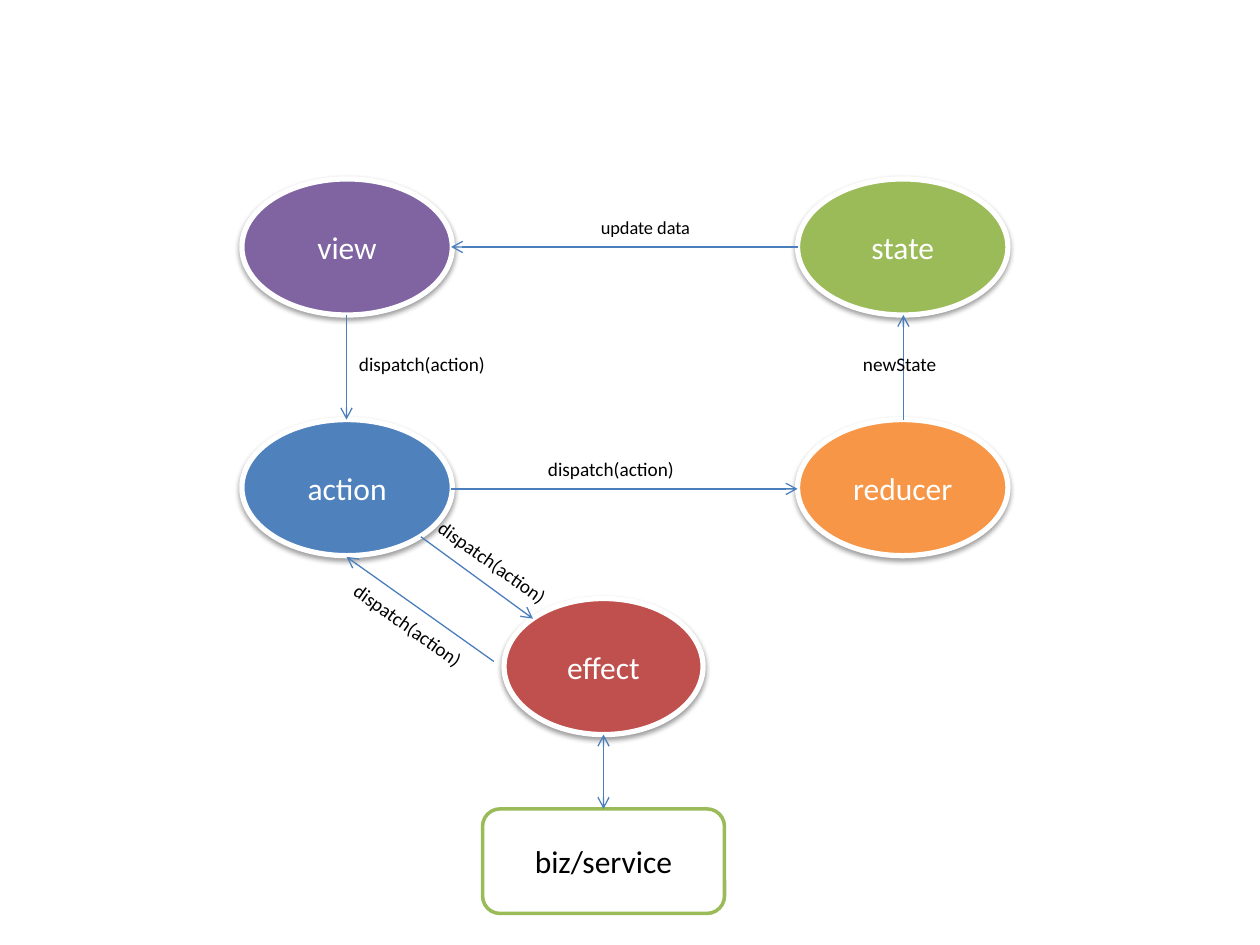
from pptx import Presentation
from pptx.dml.color import RGBColor
from pptx.enum.shapes import MSO_CONNECTOR, MSO_SHAPE
from pptx.enum.text import MSO_ANCHOR, MSO_AUTO_SIZE, PP_ALIGN
from pptx.oxml import parse_xml
from pptx.oxml.ns import nsdecls
from pptx.util import Inches, Pt
from lxml.etree import SubElement

deck = Presentation()
deck.slide_width, deck.slide_height = Inches(10), Inches(7.5)
slide = deck.slides.add_slide(deck.slide_layouts[6])
shapes = slide.shapes


def paint(color, code):
    color.rgb = RGBColor.from_string(code)


def write(frame, text, size, code):
    frame.text = text
    para = frame.paragraphs[0]
    para.font.name = "Calibri"
    para.font.size = Pt(size)
    paint(para.font.color, code)
    return para


left, right, top, middle = 1.92, 6.33, 1.42, 3.33
oval, box = MSO_SHAPE.OVAL, MSO_SHAPE.ROUNDED_RECTANGLE
nodes = [
    ("view", oval, left, top, 1.67, 1.08, "8064A2", "FFFFFF", 3, "FFFFFF"),
    ("effect", oval, 4, 4.75, 1.58, 1.08, "C0504D", "FFFFFF", 3, "FFFFFF"),
    ("reducer", oval, right, middle, 1.67, 1.08, "F79646", "FFFFFF", 3, "FFFFFF"),
    ("action", oval, left, middle, 1.67, 1.08, "4F81BD", "FFFFFF", 3, "FFFFFF"),
    ("state", oval, right, top, 1.67, 1.08, "9BBB59", "FFFFFF", 3, "FFFFFF"),
    ("biz/service", box, 3.83, 6.42, 1.92, 0.83, "FFFFFF", "9BBB59", 2, "000000"),
]
for text, kind, x, y, wide, high, fill, edge, weight, ink in nodes:
    node = shapes.add_shape(kind, Inches(x), Inches(y), Inches(wide), Inches(high))
    node.fill.solid()
    paint(node.fill.fore_color, fill)
    paint(node.line.color, edge)
    node.line.width = Pt(weight)
    node.shadow.inherit = False
    if kind == oval:
        effects = node._element.spPr.find("{*}effectLst")
        effects.append(parse_xml(
            f'<a:outerShdw {nsdecls("a")} blurRad="{Pt(3.1)}" dist="{Pt(1.6)}" '
            'dir="5400000" rotWithShape="0"><a:srgbClr val="000000">'
            '<a:alpha val="38000"/></a:srgbClr></a:outerShdw>'))
    node.text_frame.vertical_anchor = MSO_ANCHOR.MIDDLE
    write(node.text_frame, text, 18, ink).alignment = PP_ALIGN.CENTER

arrows = [
    (6.33, 1.96, 3.58, 1.96, ["tailEnd"]),
    (2.75, 2.5, 2.75, 3.33, ["tailEnd"]),
    (7.17, 3.33, 7.17, 2.5, ["tailEnd"]),
    (3.58, 3.88, 6.33, 3.88, ["tailEnd"]),
    (3.34, 4.26, 4.23, 4.91, ["tailEnd"]),
    (3.92, 5.25, 2.75, 4.42, ["tailEnd"]),
    (4.79, 5.83, 4.79, 6.42, ["headEnd", "tailEnd"]),
]
for x1, y1, x2, y2, ends in arrows:
    arrow = shapes.add_connector(
        MSO_CONNECTOR.STRAIGHT, Inches(x1), Inches(y1), Inches(x2), Inches(y2))
    paint(arrow.line.color, "4B7EBC")
    arrow.line.width = Pt(0.75)
    for end in ends:
        arrow.line._ln.append(parse_xml(f'<a:{end} {nsdecls("a")} type="arrow"/>'))
    props = arrow._element.spPr
    SubElement(props, "{%s}effectLst" % props.nsmap["a"])

labels = [
    ("update data", 4.67, 1.67, 1.06, 0.28, 10.5, 0),
    ("newState", 6.75, 2.75, 0.88, 0.29, 11, 0),
    ("dispatch(action)", 2.75, 2.75, 1.38, 0.29, 11, 0),
    ("dispatch(action)", 4.25, 3.58, 1.38, 0.29, 11, 0),
    ("dispatch(action)", 3.29, 4.37, 1.38, 0.29, 11, 35.3),
    ("dispatch(action)", 2.62, 4.87, 1.38, 0.29, 11, 35.3),
]
for text, x, y, wide, high, size, turn in labels:
    label = shapes.add_textbox(Inches(x), Inches(y), Inches(wide), Inches(high))
    label.rotation = turn
    label.text_frame.word_wrap = False
    label.text_frame.auto_size = MSO_AUTO_SIZE.SHAPE_TO_FIT_TEXT
    write(label.text_frame, text, size, "000000")

deck.save("out.pptx")
